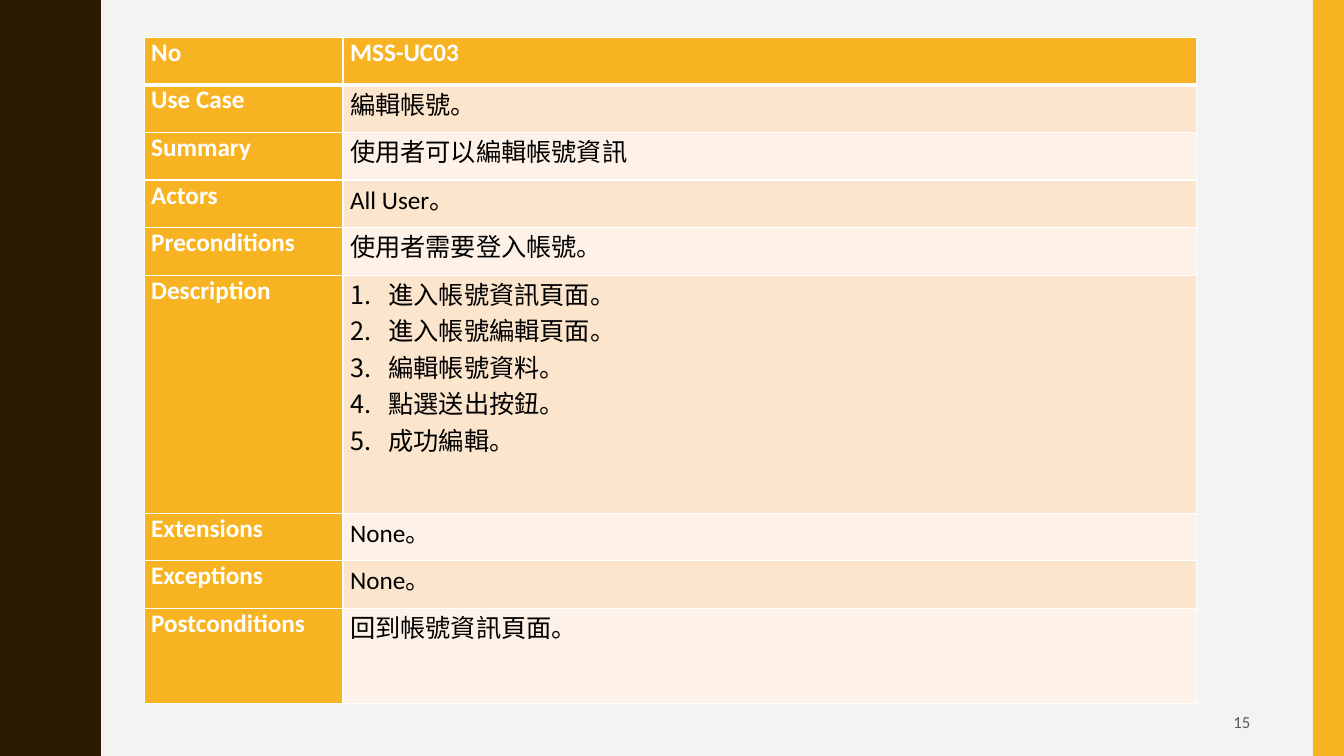
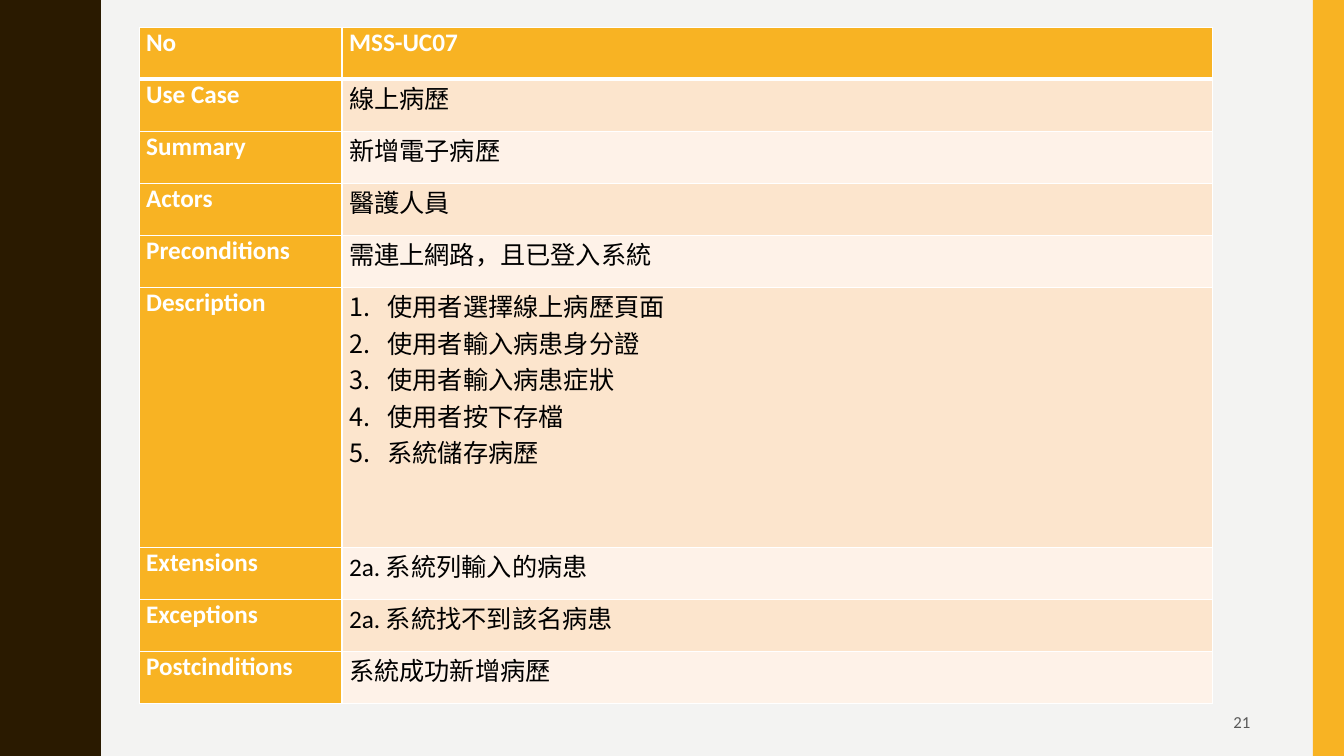
from lxml import etree
from pptx import Presentation
from pptx.dml.color import RGBColor
from pptx.enum.shapes import MSO_SHAPE
from pptx.enum.text import MSO_ANCHOR, PP_ALIGN
from pptx.oxml.ns import qn
from pptx.util import Inches, Pt

RECT = MSO_SHAPE.RECTANGLE
MIDDLE = MSO_ANCHOR.MIDDLE
RIGHT = PP_ALIGN.RIGHT

WIDE, HIGH = 13.33, 7.5
PAPER, BROWN, GOLD = "F3F3F2", "2A1A00", "F8B323"
BANDS = ["FEF2E8", "FCE5CD"]
WHITE, BLACK, GREY = "FFFFFF", "000000", "595959"

# Text styles
HEAD = {"name": "Calibri", "size": Pt(18), "bold": True, "color": WHITE}
BODY = {**HEAD, "bold": False, "color": BLACK}
PAGE = {**BODY, "size": Pt(12), "color": GREY}
INSET = {"margin_left": Inches(0.07), "margin_right": Inches(0.07),
         "margin_top": 0, "margin_bottom": 0}

# Half a wave of the left edge, as (x, y) in inches
HALF = [(0.78, 0), (0.78, 0.07), (0.79, 0.14), (0.8, 0.2), (0.81, 0.25),
        (0.83, 0.29), (0.85, 0.33), (0.87, 0.38), (0.89, 0.42), (0.91, 0.46),
        (0.93, 0.5), (0.95, 0.55), (0.96, 0.61), (0.97, 0.68)]
STEP, MIRROR = 0.75, 1.75

LABELS = ["No", "Use Case", "Summary", "Actors", "Preconditions",
          "Description", "Extensions", "Exceptions"]
LABEL_SHARE = 0.189

CASES = [
    {"page": "15", "box": (1.43, 0.37, 10.44, 6.61),
     "units": [1, 1, 1, 1, 1, 5, 1, 1, 2], "last": "Postconditions",
     "values": ["MSS-UC03", "編輯帳號。", "使用者可以編輯帳號資訊", "All User。",
                "使用者需要登入帳號。",
                ["進入帳號資訊頁面。", "進入帳號編輯頁面。", "編輯帳號資料。",
                 "點選送出按鈕。", "成功編輯。"],
                "None。", "None。", "回到帳號資訊頁面。"]},
    {"page": "21", "box": (1.38, 0.27, 10.65, 6.71),
     "units": [1, 1, 1, 1, 1, 5, 1, 1, 1], "last": "Postcinditions",
     "values": ["MSS-UC07", "線上病歷", "新增電子病歷", "醫護人員",
                "需連上網路，且已登入系統",
                ["使用者選擇線上病歷頁面", "使用者輸入病患身分證",
                 "使用者輸入病患症狀", "使用者按下存檔", "系統儲存病歷"],
                "2a. 系統列輸入的病患", "2a. 系統找不到該名病患",
                "系統成功新增病歷"]},
]


def paint(fill, color):
    fill.solid()
    fill.fore_color.rgb = RGBColor.from_string(color)


def write(para, text, style):
    run = para.add_run()
    run.text = text
    for key, value in style.items():
        if key == "color":
            paint(run.font.fill, value)
        else:
            setattr(run.font, key, value)


def plain(shape, color):
    paint(shape.fill, color)
    shape.line.fill.background()
    shape.shadow.inherit = False


def number(para):
    props = para._p.get_or_add_pPr()
    indent = Inches(0.38)
    props.set("marL", str(indent))
    props.set("indent", str(-indent))
    etree.SubElement(props, qn("a:buFont"), typeface="+mj-lt")
    etree.SubElement(props, qn("a:buAutoNum"), type="arabicPeriod")


def border(cell, widths):
    props = cell._tc.get_or_add_tcPr()
    for side, width in widths.items():
        line = etree.SubElement(props, qn("a:ln" + side), w=str(Pt(width)))
        fill = etree.SubElement(line, qn("a:solidFill"))
        etree.SubElement(fill, qn("a:srgbClr"), val=WHITE)


# Background, wavy left band, right band
def frame(slide):
    paint(slide.background.fill, PAPER)
    edge = []
    for i in range(round(HIGH / STEP)):
        edge += [(MIRROR - x if i % 2 else x, y + i * STEP) for x, y in HALF]
    draw = slide.shapes.build_freeform(0, 0, scale=Inches(1))
    draw.add_line_segments(edge + [(HALF[0][0], HIGH), (0, HIGH)], close=True)
    plain(draw.convert_to_shape(), BROWN)
    band = slide.shapes.add_shape(RECT, Inches(13.02), 0, Inches(0.31), Inches(HIGH))
    plain(band, GOLD)


# Page number at the lower right
def footer(slide, page, box):
    frame_text = slide.shapes.add_textbox(*map(Inches, box)).text_frame
    frame_text.word_wrap = True
    frame_text.vertical_anchor = MIDDLE
    para = frame_text.paragraphs[0]
    para.alignment = RIGHT
    write(para, page, PAGE)


def fill_cell(cell, text, style, color, widths):
    for key, value in INSET.items():
        setattr(cell, key, value)
    border(cell, widths)
    paint(cell.fill, color)
    listed = isinstance(text, list)
    for i, item in enumerate(text if listed else [text]):
        body = cell.text_frame
        para = body.add_paragraph() if i else body.paragraphs[0]
        if listed:
            number(para)
        write(para, item, style)


# Use case table: label column and value column
def case_table(slide, case):
    wide, high = case["box"][2:]
    units = case["units"]
    table = slide.shapes.add_table(len(units), 2, *map(Inches, case["box"])).table
    for col, share in zip(table.columns, (LABEL_SHARE, 1 - LABEL_SHARE)):
        col.width = Inches(wide * share)
    rows = zip(units, LABELS + [case["last"]], case["values"])
    for r, (unit, label, value) in enumerate(rows):
        table.rows[r].height = Inches(high * unit / sum(units))
        widths = {"L": 1, "R": 1, "T": 3 if r == 1 else 1, "B": 1 if r else 3}
        fill_cell(table.cell(r, 0), label, HEAD, GOLD, widths)
        fill_cell(table.cell(r, 1), value, BODY if r else HEAD,
                  BANDS[r % 2] if r else GOLD, widths)


deck = Presentation()
deck.slide_width, deck.slide_height = Inches(WIDE), Inches(HIGH)
for case in CASES:
    slide = deck.slides.add_slide(deck.slide_layouts[6])
    frame(slide)
    footer(slide, case["page"], (9.42, 6.97, 3.08, 0.38))
    case_table(slide, case)
deck.save("out.pptx")
